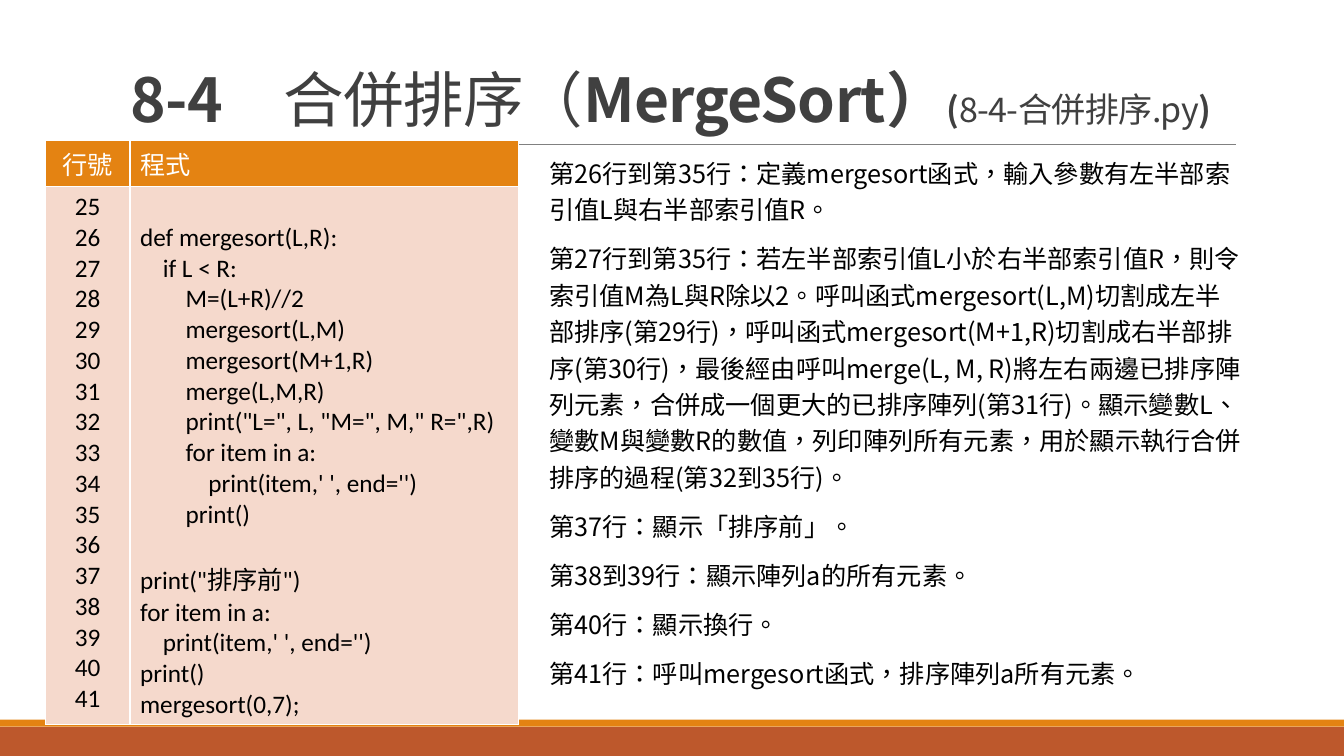
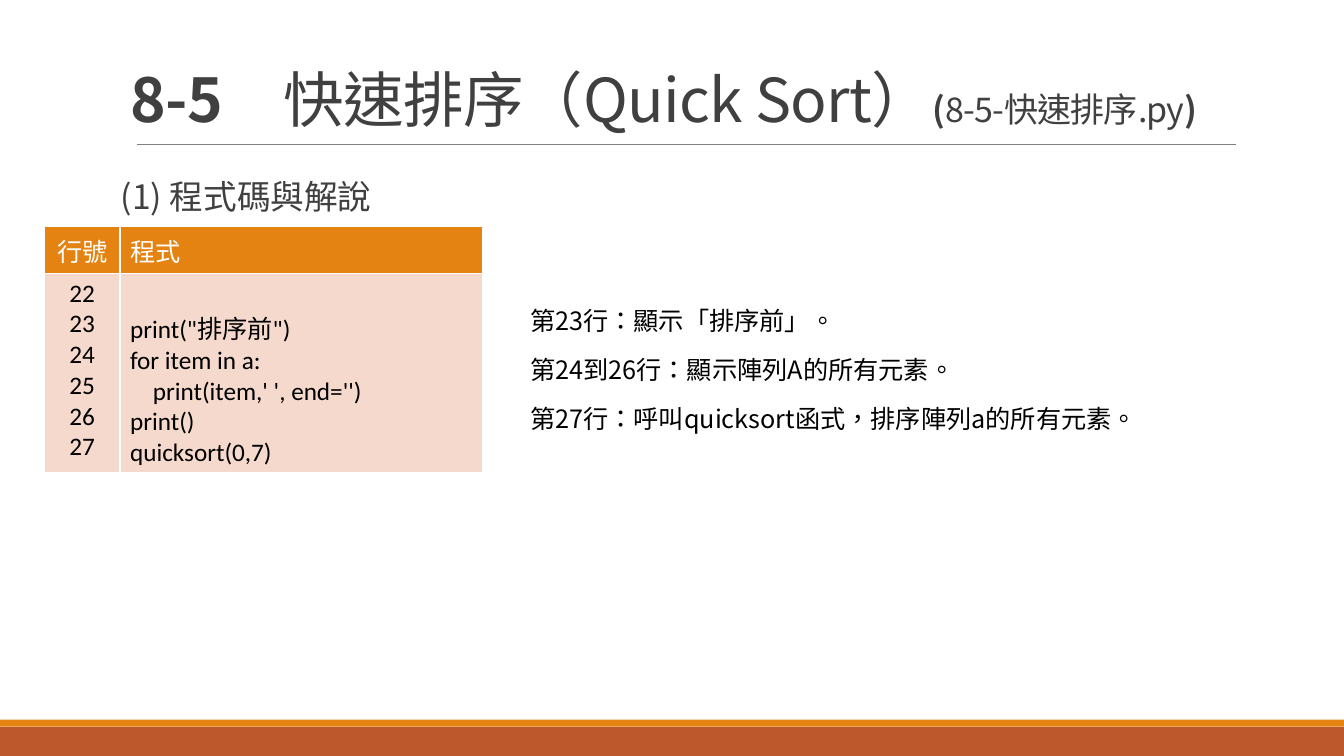
from lxml import etree
from pptx import Presentation
from pptx.dml.color import RGBColor
from pptx.enum import shapes, text
from pptx.oxml.ns import qn
from pptx.util import Inches, Pt

ORANGE = RGBColor(0xE4, 0x83, 0x12)
RUST = RGBColor(0xBD, 0x58, 0x2C)
PEACH = RGBColor(0xF5, 0xD9, 0xCC)
DARK = RGBColor(0x40, 0x40, 0x40)
GRAY = RGBColor(0x80, 0x80, 0x80)
BLACK = RGBColor(0, 0, 0)
WHITE = RGBColor(0xFF, 0xFF, 0xFF)
CODE_FONT = "Calibri"
TEXT_FONT = "Noto Sans CJK SC"
TITLE_SIZE, FILE_SIZE = 43.2, 24.3
HEADER_HEIGHT = 0.46

LESSONS = [
    {
        "title": [
            ("8-4　", TITLE_SIZE, True),
            ("合併排序（", TITLE_SIZE, False),
            ("MergeSort）", TITLE_SIZE, True),
            ("(", FILE_SIZE, True),
            ("8-4-合併排序.py", FILE_SIZE, False),
            (")", FILE_SIZE, True),
        ],
        "heading": None,
        "table": (0.45, 1.39),
        "columns": (0.84, 3.85),
        "body_height": 5.34,
        "first_line": 25,
        "code": """
def mergesort(L,R):
    if L < R:
        M=(L+R)//2
        mergesort(L,M)
        mergesort(M+1,R)
        merge(L,M,R)
        print("L=", L, "M=", M," R=",R)
        for item in a:
            print(item,' ', end='')
        print()

print("排序前")
for item in a:
    print(item,' ', end='')
print()
mergesort(0,7);""",
        "notes_box": (5.35, 1.46, 7.08, 5.46),
        "notes": [
            "第26行到第35行：定義mergesort函式，輸入參數有左半部索引值L與右半部索引值R。",
            "第27行到第35行：若左半部索引值L小於右半部索引值R，則令索引值M為L與R除以2。"
            "呼叫函式mergesort(L,M)切割成左半部排序(第29行)，"
            "呼叫函式mergesort(M+1,R)切割成右半部排序(第30行)，"
            "最後經由呼叫merge(L, M, R)將左右兩邊已排序陣列元素，"
            "合併成一個更大的已排序陣列(第31行)。"
            "顯示變數L、變數M與變數R的數值，列印陣列所有元素，"
            "用於顯示執行合併排序的過程(第32到35行)。",
            "第37行：顯示「排序前」。",
            "第38到39行：顯示陣列a的所有元素。",
            "第40行：顯示換行。",
            "第41行：呼叫mergesort函式，排序陣列a所有元素。",
        ],
    },
    {
        "title": [
            ("8-5　", TITLE_SIZE, True),
            ("快速排序（Quick Sort）", TITLE_SIZE, False),
            ("(", FILE_SIZE, True),
            ("8-5-快速排序.py", FILE_SIZE, False),
            (")", FILE_SIZE, True),
        ],
        "heading": "(1) 程式碼與解說",
        "table": (0.44, 2.25),
        "columns": (0.75, 3.6),
        "body_height": 1.98,
        "first_line": 22,
        "code": """
print("排序前")
for item in a:
    print(item,' ', end='')
print()
quicksort(0,7)""",
        "notes_box": (5.16, 2.92, 7.64, 1.45),
        "notes": [
            "第23行：顯示「排序前」。",
            "第24到26行：顯示陣列A的所有元素。",
            "第27行：呼叫quicksort函式，排序陣列a的所有元素。",
        ],
    },
]


def style_run(run, size, color, font=TEXT_FONT, bold=False):
    """Format a run as Traditional Chinese, with the text font for its characters."""
    run.font.size = Pt(size)
    run.font.bold = bold
    run.font.color.rgb = color
    run.font.name = font
    properties = run.font._element
    properties.set("lang", "zh-TW")
    east_asian = etree.SubElement(properties, qn("a:ea"))
    east_asian.set("typeface", TEXT_FONT)


def add_text_frame(slide, left, top, width, height):
    box = slide.shapes.add_textbox(Inches(left), Inches(top), Inches(width), Inches(height))
    box.text_frame.word_wrap = True
    return box.text_frame


presentation = Presentation()
presentation.slide_width = Inches(13.33)
presentation.slide_height = Inches(7.5)

for lesson in LESSONS:
    slide = presentation.slides.add_slide(presentation.slide_layouts[6])

    # Footer bands and title rule
    for top, height, color in ((7.21, 0.29, RUST), (7.14, 0.07, ORANGE)):
        band = slide.shapes.add_shape(
            shapes.MSO_SHAPE.RECTANGLE, 0, Inches(top), presentation.slide_width, Inches(height))
        band.shadow.inherit = False
        band.fill.solid()
        band.fill.fore_color.rgb = color
        band.line.fill.background()
    rule = slide.shapes.add_connector(
        shapes.MSO_CONNECTOR.STRAIGHT, Inches(1.36), Inches(1.43), Inches(12.26), Inches(1.43))
    rule.line.color.rgb = GRAY
    rule.line.width = Pt(0.5)
    etree.SubElement(rule._element.spPr, qn("a:effectLst"))

    # Title
    title_frame = add_text_frame(slide, 1.2, 0.31, 11, 1.08)
    title_frame.vertical_anchor = text.MSO_ANCHOR.BOTTOM
    paragraph = title_frame.paragraphs[0]
    paragraph.line_spacing = 0.85
    for words, size, bold in lesson["title"]:
        run = paragraph.add_run()
        run.text = words
        style_run(run, size, DARK, bold=bold)
        run.font._element.set("spc", "-50")

    # Section heading
    if lesson["heading"]:
        heading_frame = add_text_frame(slide, 1.2, 1.7, 11, 0.55)
        heading_frame.margin_left = heading_frame.margin_right = 0
        heading_frame.text = lesson["heading"]
        style_run(heading_frame.paragraphs[0].runs[0], 24, DARK)

    # Code table
    left, top = lesson["table"]
    row_heights = (HEADER_HEIGHT, lesson["body_height"])
    table = slide.shapes.add_table(
        2, 2, Inches(left), Inches(top),
        Inches(sum(lesson["columns"])), Inches(sum(row_heights))).table
    for column, width in zip(table.columns, lesson["columns"]):
        column.width = Inches(width)
    for row, height in zip(table.rows, row_heights):
        row.height = Inches(height)
    line_count = len(lesson["code"].split("\n"))
    first = lesson["first_line"]
    numbers = "\n".join(str(first + i) for i in range(line_count))
    rows = (("行號", "程式", ORANGE, WHITE), (numbers, lesson["code"], PEACH, BLACK))
    for row_index, (number_text, code_text, fill, color) in enumerate(rows):
        for column_index, words in enumerate((number_text, code_text)):
            cell = table.cell(row_index, column_index)
            cell.fill.solid()
            cell.fill.fore_color.rgb = fill
            cell.text_frame.text = words
            for paragraph in cell.text_frame.paragraphs:
                if column_index == 0:
                    paragraph.alignment = text.PP_ALIGN.CENTER
                for run in paragraph.runs:
                    style_run(run, 18, color, CODE_FONT)

    # Explanation
    notes_frame = add_text_frame(slide, *lesson["notes_box"])
    notes_frame.text = "\n".join(lesson["notes"])
    for index, paragraph in enumerate(notes_frame.paragraphs):
        paragraph.line_spacing = Pt(26)
        paragraph.space_before = Pt(6 if index else 0)
        paragraph.space_after = Pt(3)
        style_run(paragraph.runs[0], 18, BLACK)

presentation.save("out.pptx")
